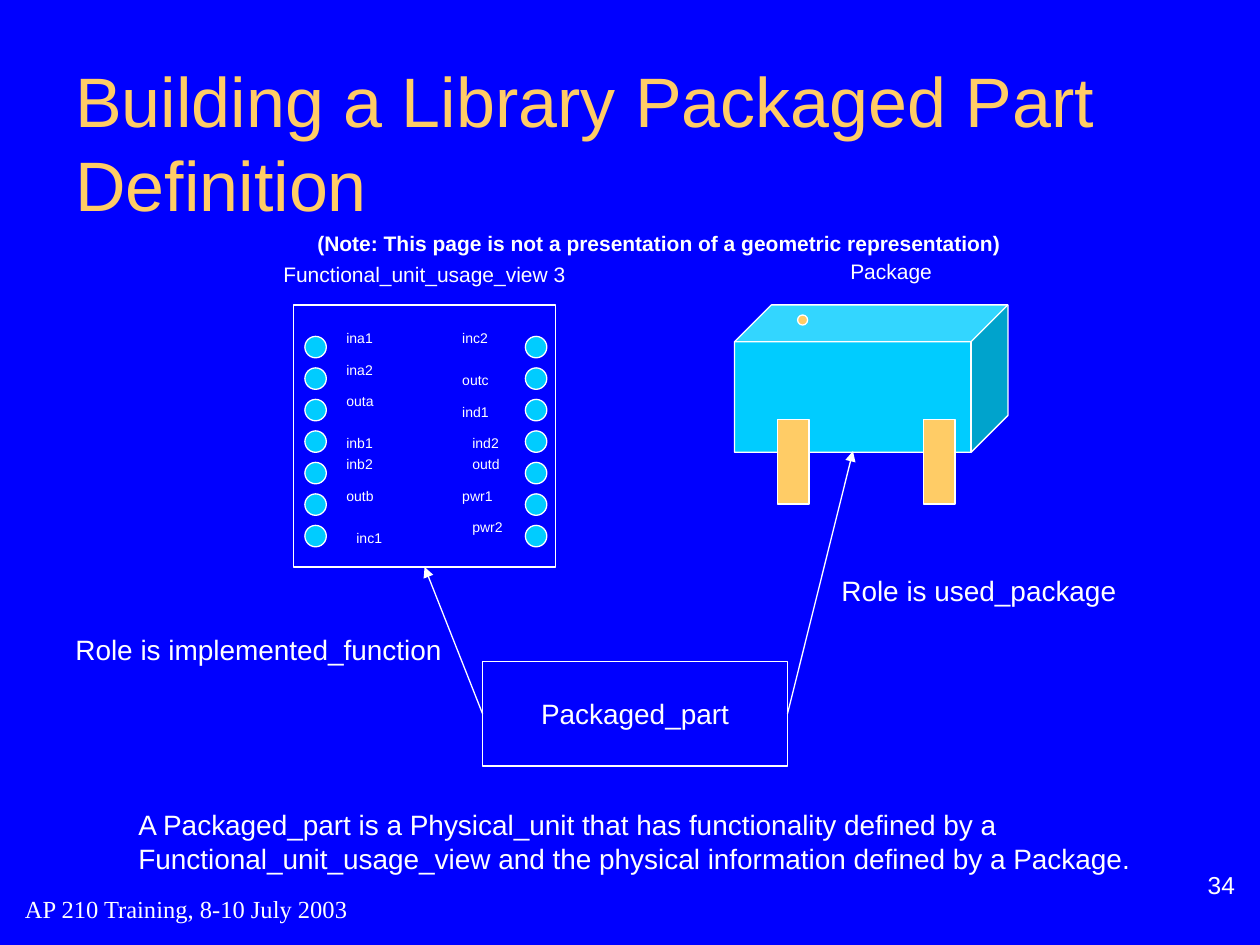
from lxml import etree
from pptx import Presentation
from pptx.dml.color import RGBColor
from pptx.enum.shapes import MSO_CONNECTOR, MSO_SHAPE
from pptx.enum.text import MSO_ANCHOR, MSO_AUTO_SIZE, PP_ALIGN
from pptx.oxml.ns import qn
from pptx.util import Inches, Pt

BLUE = RGBColor(0x00, 0x00, 0xFF)
CYAN = RGBColor(0x00, 0xCC, 0xFF)
GOLD = RGBColor(0xFF, 0xCC, 0x66)
WHITE = RGBColor(0xFF, 0xFF, 0xFF)

prs = Presentation()
prs.slide_width, prs.slide_height = Inches(10), Inches(7.5)
slide = prs.slides.add_slide(prs.slide_layouts[6])
slide.background.fill.solid()
slide.background.fill.fore_color.rgb = BLUE


def add_text(text, left, top, width, height, size, color=WHITE, font="Arial",
             anchor=MSO_ANCHOR.TOP):
    """Add a wrapping text box; one anchored at the top grows with its text."""
    frame = slide.shapes.add_textbox(
        Inches(left), Inches(top), Inches(width), Inches(height)).text_frame
    frame.text = text
    frame.word_wrap = True
    frame.vertical_anchor = anchor
    if anchor == MSO_ANCHOR.TOP:
        frame.auto_size = MSO_AUTO_SIZE.SHAPE_TO_FIT_TEXT
    for paragraph in frame.paragraphs:
        paragraph.font.size = Pt(size)
        paragraph.font.name = font
        paragraph.font.color.rgb = color
    return frame


def add_outlined(kind, left, top, width, height, fill=None):
    shape = slide.shapes.add_shape(
        kind, Inches(left), Inches(top), Inches(width), Inches(height))
    shape.shadow.inherit = False
    if fill is None:
        shape.fill.background()
    else:
        shape.fill.solid()
        shape.fill.fore_color.rgb = fill
    shape.line.color.rgb = WHITE
    shape.line.width = Pt(0.75)
    return shape


add_text("Building a Library Packaged Part Definition", 0.5, 0.5, 9, 1.25, 40,
         GOLD, anchor=MSO_ANCHOR.MIDDLE)
add_text("A Packaged_part is a Physical_unit that has functionality defined by a\n"
         "Functional_unit_usage_view and the physical information defined by a Package.",
         1, 6.36, 8.2, 0.64, 16)

# Functional unit with seven pins on each side
functional_unit = add_outlined(MSO_SHAPE.RECTANGLE, 2.33, 2.42, 2.08, 2.08)
for pin_left in (4.17, 2.42):
    for row in range(7):
        add_outlined(MSO_SHAPE.OVAL, pin_left, 2.67 + 0.25 * row, 0.17, 0.17, CYAN)

pin_labels = [
    ("ina1", 2.65, 2.57), ("ina2", 2.65, 2.82), ("outa", 2.65, 3.07),
    ("inb1", 2.65, 3.4), ("inb2", 2.65, 3.57), ("outb", 2.65, 3.82),
    ("inc1", 2.73, 4.15),
    ("inc2", 3.57, 2.57), ("outc", 3.57, 2.9), ("ind1", 3.57, 3.15),
    ("ind2", 3.65, 3.4), ("outd", 3.65, 3.57), ("pwr1", 3.57, 3.82),
    ("pwr2", 3.65, 4.07),
]
for label, left, top in pin_labels:
    add_text(label, left, top, 0.48, 0.24, 8)

# Package body with its leads and pin-one mark
add_outlined(MSO_SHAPE.CUBE, 5.83, 2.42, 2.17, 1.17, CYAN)
for lead_left in (7.33, 6.17):
    add_outlined(MSO_SHAPE.RECTANGLE, lead_left, 3.33, 0.25, 0.67, GOLD)
add_outlined(MSO_SHAPE.OVAL, 6.33, 2.5, 0.08, 0.08, GOLD)

packaged_part = add_outlined(MSO_SHAPE.RECTANGLE, 3.83, 5.25, 2.42, 0.83)
part_frame = packaged_part.text_frame
part_frame.text = "Packaged_part"
part_frame.word_wrap = False
part_frame.vertical_anchor = MSO_ANCHOR.MIDDLE
part_name = part_frame.paragraphs[0]
part_name.alignment = PP_ALIGN.CENTER
part_name.font.size = Pt(16)
part_name.font.name = "Arial"
part_name.font.color.rgb = WHITE

# Arrows from the packaged part to its function and its package
for side, end_x, end_y, target in ((1, 3.37, 4.5, functional_unit),
                                   (3, 6.77, 3.58, None)):
    arrow = slide.shapes.add_connector(
        MSO_CONNECTOR.STRAIGHT, Inches(5), Inches(5.67), Inches(end_x), Inches(end_y))
    arrow.begin_connect(packaged_part, side)
    if target is not None:
        arrow.end_connect(target, 2)
    arrow.line.color.rgb = WHITE
    arrow.line.width = Pt(0.75)
    etree.SubElement(arrow.line._get_or_add_ln(), qn("a:tailEnd"), type="triangle")
    etree.SubElement(arrow._element.spPr, qn("a:effectLst"))

add_text("Role is implemented_function", 0.5, 4.97, 3.18, 0.37, 16)
add_text("Role is used_package", 6.58, 4.5, 2.5, 0.37, 16)
add_text("Package", 6.65, 2, 0.9, 0.3, 12)
add_text("Functional_unit_usage_view 3", 2.15, 2.03, 2.5, 0.3, 12)
note = add_text("(Note: This page is not a presentation of a geometric representation)",
                2.42, 1.78, 5.75, 0.3, 12)
note.paragraphs[0].font.bold = True

add_text("AP 210 Training, 8-10 July 2003", 0.1, 6.96, 4.67, 0.5, 14,
         font="Times New Roman", anchor=MSO_ANCHOR.MIDDLE)
page_number = add_text("34", 7.85, 6.72, 2.05, 0.42, 14, anchor=MSO_ANCHOR.BOTTOM)
page_number.margin_top = page_number.margin_bottom = 0
page_number.paragraphs[0].alignment = PP_ALIGN.RIGHT

prs.save("out.pptx")
